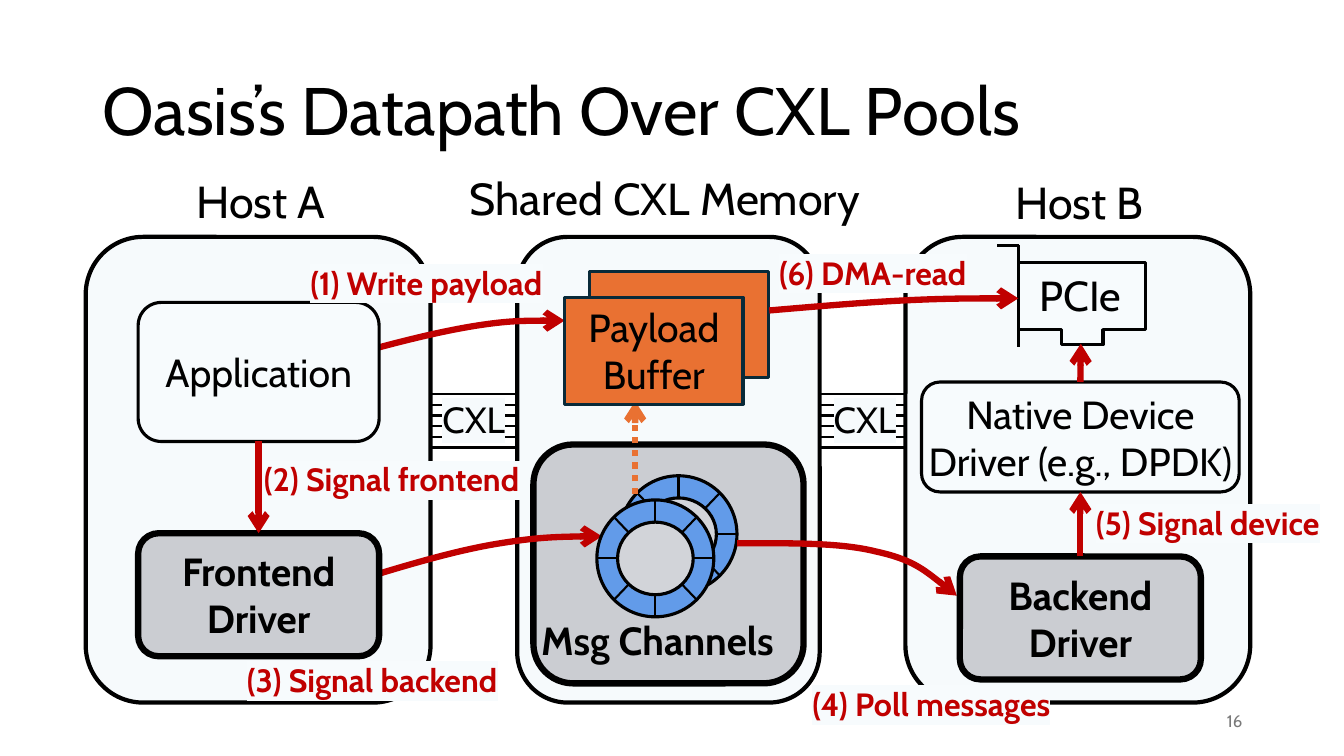
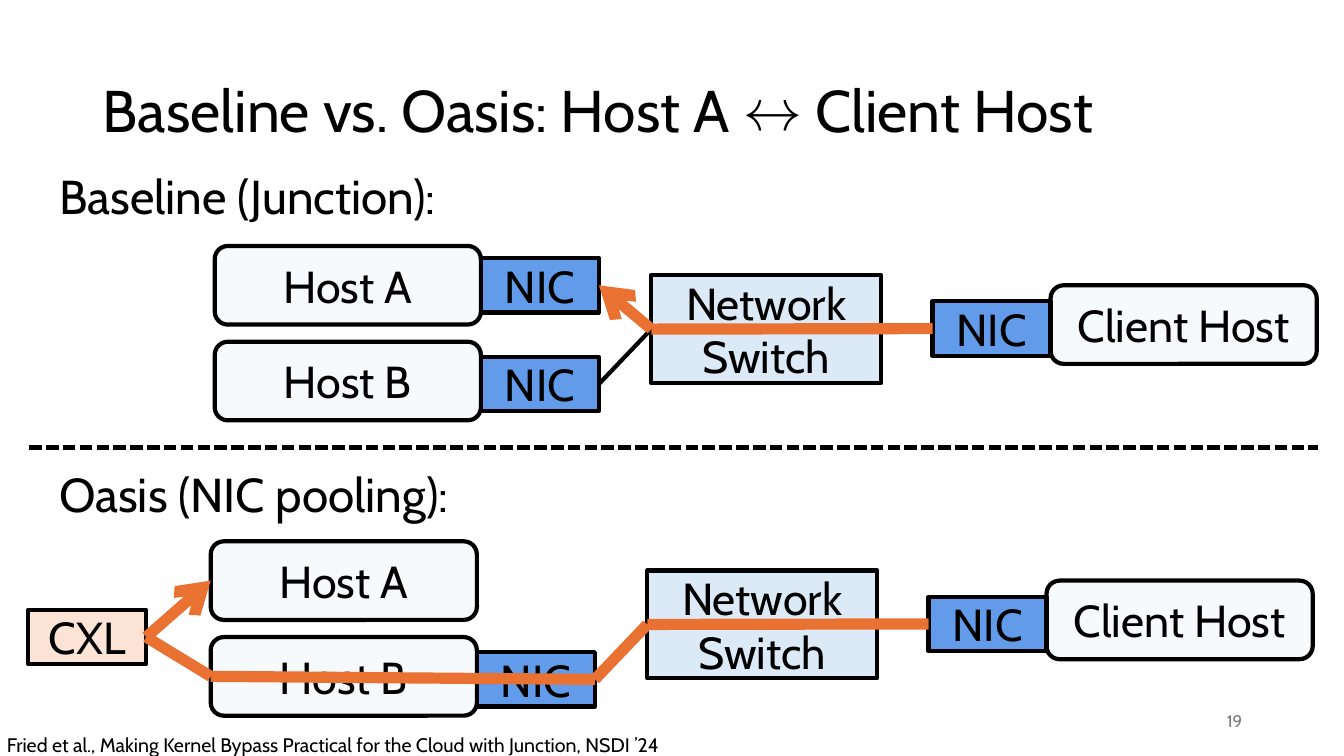
import math
from dataclasses import dataclass
from typing import Any

from pptx import Presentation
from pptx import util as u
from pptx.dml import color as col
from pptx.enum import dml, shapes, text
from pptx.oxml import ns, xmlchemy as xc

KIND = shapes.MSO_SHAPE
ALIGN = text.PP_ALIGN
ANCHOR = text.MSO_ANCHOR
DASH = dml.MSO_LINE


# Theme
@dataclass(frozen=True)
class Theme:
    font: str = "Cabin"
    ink: str = "000000"
    red: str = "C00000"
    orange: str = "E97132"
    navy: str = "092A39"
    pale: str = "F6FAFC"
    card: str = "F7FBFD"
    gray: str = "CBCDD2"
    hole: str = "D2D4D9"
    blue: str = "629BE9"
    sky: str = "DCEAF7"
    peach: str = "FBE3D6"
    dim: str = "797979"
    title: int = 48
    head: int = 34
    name: int = 32
    card_size: int = 28
    link: int = 26
    step: int = 23
    note: int = 14
    foot: int = 12


T = Theme()


@dataclass(frozen=True)
class Pen:
    color: str = T.ink
    width: float = 3
    dash: Any = None
    arrow: bool = False


THIN = Pen(width=1.5)
MID = Pen(width=2.25)
BASE = Pen()
THICK = Pen(width=4.5)
FLOW = Pen(T.red, 4.5, arrow=True)
ROUTE = Pen(T.orange, 8)
TIP = Pen(T.orange, 8, arrow=True)


@dataclass(frozen=True)
class Label:
    words: str
    left: float
    top: float
    width: float
    height: float = 0.59


# Basic drawing
def rgb(code: str) -> col.RGBColor:
    return col.RGBColor.from_string(code)


def write(frame: Any, words: str, *, size: int, color: str = T.ink,
          bold: bool = False, mark: str = "", align: Any = ALIGN.LEFT,
          anchor: Any = ANCHOR.TOP, wrap: bool = True) -> None:
    frame.word_wrap = wrap
    frame.vertical_anchor = anchor
    for i, row in enumerate(words.split("\n")):
        para = frame.add_paragraph() if i else frame.paragraphs[0]
        para.alignment = align
        run = para.add_run()
        run.text = row
        run.font.size = u.Pt(size)
        run.font.bold = bold
        run.font.color.rgb = rgb(color)
        if mark:
            tint = xc.OxmlElement("a:highlight")
            code = xc.OxmlElement("a:srgbClr")
            code.set("val", mark)
            tint.append(code)
            run._r.get_or_add_rPr().append(tint)
        run.font.name = T.font


def note(page: Any, lab: Label, **style: Any) -> None:
    box = page.shapes.add_textbox(u.Inches(lab.left), u.Inches(lab.top),
                                  u.Inches(lab.width), u.Inches(lab.height))
    box.text_frame.auto_size = text.MSO_AUTO_SIZE.SHAPE_TO_FIT_TEXT
    write(box.text_frame, lab.words, **{"wrap": False, **style})


def ink(item: Any, pen: Pen) -> None:
    line = item.line
    line.color.rgb = rgb(pen.color)
    line.width = u.Pt(pen.width)
    if pen.dash:
        line.dash_style = pen.dash
    if pen.arrow:
        end = xc.OxmlElement("a:tailEnd")
        end.set("type", "arrow")
        line._get_or_add_ln().append(end)


def block(page: Any, kind: Any, left: float, top: float, width: float,
          height: float, fill: str, pen: Pen = BASE, words: str = "",
          **style: Any) -> Any:
    item = page.shapes.add_shape(kind, u.Inches(left), u.Inches(top),
                                 u.Inches(width), u.Inches(height))
    item.shadow.inherit = False
    item.fill.solid()
    item.fill.fore_color.rgb = rgb(fill)
    ink(item, pen)
    if words:
        write(item.text_frame, words, align=ALIGN.CENTER,
              anchor=ANCHOR.MIDDLE, **style)
    return item


def line(page: Any, x1: float, y1: float, x2: float, y2: float,
         pen: Pen = BASE) -> Any:
    item = page.shapes.add_connector(
        shapes.MSO_CONNECTOR.STRAIGHT, u.Inches(x1), u.Inches(y1),
        u.Inches(x2), u.Inches(y2))
    ink(item, pen)
    item._element.spPr.append(xc.OxmlElement("a:effectLst"))
    return item


def wire(page: Any, a: Any, a_side: int, b: Any, b_side: int,
         pen: Pen = BASE) -> None:
    item = line(page, 0, 0, 1, 1, pen)
    item.begin_connect(a, a_side)
    item.end_connect(b, b_side)


def outline(page: Any, dots: list[tuple[float, float]], pen: Pen,
            close: bool) -> Any:
    pts = [(u.Inches(x), u.Inches(y)) for x, y in dots]
    form = page.shapes.build_freeform(*pts[0])
    form.add_line_segments(pts[1:], close=close)
    item = form.convert_to_shape()
    item.shadow.inherit = False
    ink(item, pen)
    return item


def curve(page: Any, dots: list[tuple[float, float]]) -> None:
    """Turn each three points after the first into one Bezier segment."""
    item = outline(page, dots, FLOW, False)
    item.fill.background()
    segs = list(item._element.iter(ns.qn("a:lnTo")))
    for i in range(0, len(segs), 3):
        bend = xc.OxmlElement("a:cubicBezTo")
        segs[i].addprevious(bend)
        for seg in segs[i:i + 3]:
            bend.append(seg[0])
            seg.getparent().remove(seg)


# Shared page frame
def sheet(deck: Any, title: str, number: str, size: int) -> Any:
    page = deck.slides.add_slide(deck.slide_layouts[5])
    head = page.shapes.title
    head.left, head.top = u.Inches(0.92), u.Inches(0.4)
    head.width, head.height = u.Inches(11.5), u.Inches(1.45)
    write(head.text_frame, title, size=size, anchor=ANCHOR.MIDDLE)
    head.text_frame.auto_size = text.MSO_AUTO_SIZE.NONE
    head.text_frame.paragraphs[0].line_spacing = 0.9
    foot = page.shapes.add_textbox(u.Inches(9.42), u.Inches(6.95),
                                   u.Inches(3), u.Inches(0.4))
    write(foot.text_frame, number, size=T.foot, color=T.dim,
          align=ALIGN.RIGHT, anchor=ANCHOR.MIDDLE)
    return page


# Datapath parts
def ring(page: Any, x: float, y: float) -> None:
    group = page.shapes.add_group_shape()
    for w, h, fill in ((1.16, 1.16, T.blue), (0.75, 0.72, T.hole)):
        block(group, KIND.OVAL, x - w / 2, y - h / 2, w, h, fill, MID)
    for i in range(8):
        c, s = math.cos(i * math.pi / 4), math.sin(i * math.pi / 4)
        line(group, x + 0.37 * c, y + 0.36 * s, x + 0.58 * c, y + 0.58 * s, THIN)


def pcie(page: Any) -> None:
    group = page.shapes.add_group_shape()
    line(group, 9.89, 2.44, 10.11, 2.44, MID)
    line(group, 10.1, 2.43, 10.1, 3.44, MID)
    card = outline(group, [(10.1, 2.6), (11.36, 2.6), (11.36, 3.27),
                           (10.94, 3.27), (10.94, 3.42), (10.53, 3.42),
                           (10.53, 3.27), (10.1, 3.27)], MID, True)
    card.fill.solid()
    card.fill.fore_color.rgb = rgb(T.card)
    note(group, Label("PCIe", 10.21, 2.62, 1.27, 0.66), size=30, wrap=True)


def datapath(deck: Any) -> None:
    page = sheet(deck, "Oasis’s Datapath Over CXL Pools", "16", T.title)
    rect, soft = KIND.RECTANGLE, KIND.ROUNDED_RECTANGLE

    # Hosts and memory
    for lab, left, width in (
            (Label("Shared CXL Memory", 4.56, 1.64, 4.12, 0.69), 5.13, 3),
            (Label("Host A", 1.85, 1.67, 1.48, 0.69), 0.85, 3.42),
            (Label("Host B", 9.97, 1.68, 1.49, 0.69), 8.98, 3.42)):
        block(page, soft, left, 2.35, width, 4.62, T.pale)
        note(page, lab, size=T.name)
    pcie(page)

    # CXL links
    for left, x in ((4.28, 4.29), (8.12, 8.17)):
        for i in range(6):
            y = 3.91 + i * 0.53 / 5
            line(page, left, y, left + 0.86, y, THIN)
        note(page, Label("CXL", x, 3.89, 0.84, 0.58), size=T.link, mark=T.pale)

    # Message channels, payload behind and flow curves
    block(page, soft, 5.29, 4.41, 2.68, 2.37, T.gray, THICK)
    ring(page, 6.73, 5.3)
    note(page, Label("Msg Channels", 5.27, 6.06, 2.73, 0.62),
         size=T.card_size, bold=True)
    edge = Pen(T.navy, 2.25)
    block(page, rect, 5.85, 2.69, 1.77, 1.06, T.orange, edge)
    for dots in (
            [(3.73, 5.7), (4.16, 5.57), (4.58, 5.45), (4.96, 5.39),
             (5.33, 5.33), (5.65, 5.32), (5.97, 5.32)],
            [(7.31, 5.39), (7.81, 5.39), (8.32, 5.38), (8.68, 5.47),
             (9.05, 5.55), (9.27, 5.73), (9.49, 5.91)],
            [(3.67, 3.47), (4.04, 3.37), (4.41, 3.28), (4.73, 3.23),
             (5.05, 3.18), (5.33, 3.18), (5.6, 3.18)],
            [(7.63, 3.08), (8.1, 3.04), (8.57, 3), (8.98, 2.98),
             (9.39, 2.96), (9.75, 2.96), (10.1, 2.96)]):
        curve(page, dots)

    # Front boxes
    line(page, 6.3, 4.9, 6.3, 3.98, Pen(T.orange, 4.5, DASH.ROUND_DOT, True))
    block(page, rect, 5.6, 2.95, 1.77, 1.06, T.orange, edge,
          "Payload Buffer", size=T.card_size)
    front, back = (
        block(page, soft, x, y, 2.39, 1.22, T.gray, THICK, words,
              size=T.card_size, bold=True)
        for x, y, words in ((1.37, 5.29, "Frontend Driver"),
                            (9.52, 5.52, "Backend Driver")))
    native = block(page, soft, 9.14, 3.79, 3.15, 1.09, T.card, MID,
                   "Native Device\nDriver (e.g., DPDK)", size=T.card_size,
                   wrap=False)
    app = block(page, soft, 1.37, 3, 2.39, 1.38, T.card, MID,
                "Application", size=T.card_size)
    ring(page, 6.5, 5.54)
    wire(page, app, 2, front, 0, FLOW)
    wire(page, back, 0, native, 2, FLOW)
    line(page, 10.72, 3.86, 10.72, 3.41, FLOW).begin_connect(native, 0)

    # Numbered steps
    for lab in (Label("(1) Write payload", 2.98, 2.56, 2.73),
                Label("(2) Signal frontend", 2.52, 4.51, 2.86),
                Label("(3) Signal backend", 2.35, 6.5, 2.86),
                Label("(4) Poll messages", 7.96, 6.74, 2.73),
                Label("(5) Signal device", 10.77, 4.94, 2.57),
                Label("(6) DMA-read", 7.63, 2.46, 2.16)):
        note(page, lab, size=T.step, color=T.red, bold=True, mark=T.card)


# Network comparison
def network(page: Any, x: float, y: float, pool: bool) -> None:
    def host(words: str, dx: float, dy: float) -> Any:
        return block(page, KIND.ROUNDED_RECTANGLE, x + dx, y + dy, 2.64, 0.78,
                     T.pale, words=words, size=T.name)

    def port(words: str, dx: float, dy: float, fill: str = T.blue) -> Any:
        return block(page, KIND.RECTANGLE, x + dx, y + dy, 1.17, 0.54,
                     fill, words=words, size=T.name)

    a, b = host("Host A", 0, 0), host("Host B", 0, 0.95)
    host("Client Host", 8.29, 0.39)
    b_nic, far = port("NIC", 2.64, 1.1), port("NIC", 7.12, 0.55)
    hub = block(page, KIND.RECTANGLE, x + 4.33, y + 0.29, 2.28, 1.07, T.sky,
                words="Network Switch", size=T.name)
    wire(page, b_nic, 3, hub, 1)
    wire(page, far, 1, hub, 3)
    if pool:
        cxl = port("CXL", -1.81, 0.68, T.peach)
        hops = [(b_nic, 3, hub, 1), (b, 1, b_nic, 3), (cxl, 3, b, 1)]
        last = (cxl, 3, a, 1)
    else:
        hops = []
        last = (hub, 1, port("NIC", 2.64, 0.12), 3)
    for hop in [(hub, 1, far, 1), *hops]:
        wire(page, *hop, ROUTE)
    wire(page, *last, TIP)


def compare(deck: Any) -> None:
    page = sheet(deck, "Baseline vs. Oasis: Host A ↔ Client Host", "19", 42)
    network(page, 2.13, 2.44, False)
    network(page, 2.09, 5.37, True)
    for words, y in (("Baseline (Junction):", 1.61),
                     ("Oasis (NIC pooling):", 4.56)):
        note(page, Label(words, 0.49, y, 4.25, 0.67), size=T.head)
    line(page, 0.29, 4.44, 13.07, 4.44, Pen(dash=DASH.SQUARE_DOT))
    note(page, Label("Fried et al., Making Kernel Bypass Practical for the "
                     "Cloud with Junction, NSDI ’24", -0.03, 7.22, 6.95, 0.34),
         size=T.note)


def main() -> None:
    deck = Presentation()
    deck.slide_width, deck.slide_height = u.Inches(13.33), u.Inches(7.5)
    datapath(deck)
    compare(deck)
    deck.save("out.pptx")


if __name__ == "__main__":
    main()
